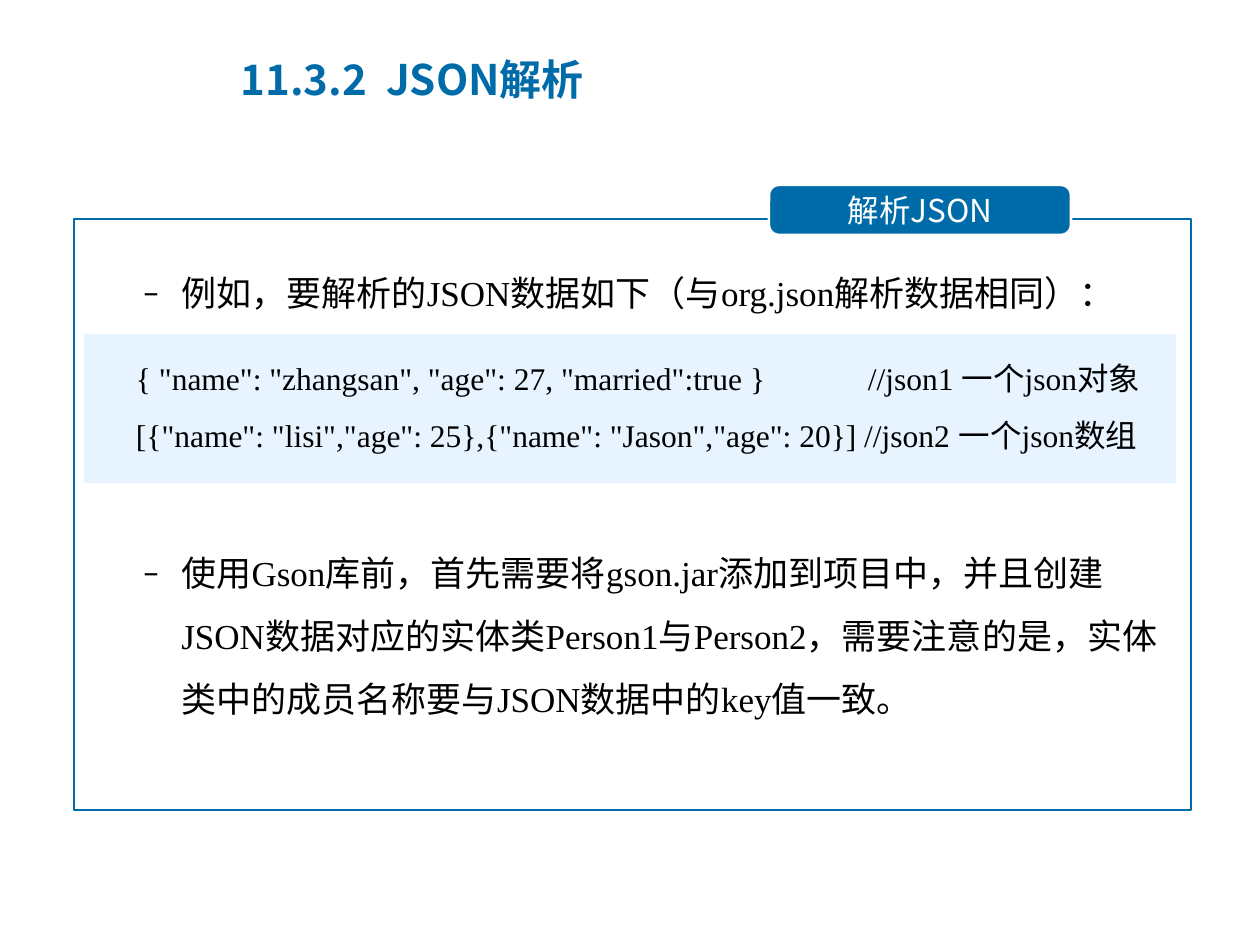
from lxml.etree import SubElement
from pptx import Presentation
from pptx.dml.color import RGBColor
from pptx.enum.shapes import MSO_SHAPE
from pptx.enum.text import MSO_ANCHOR, PP_ALIGN
from pptx.oxml.ns import qn
from pptx.util import Emu, Pt

BLUE, PALE, WHITE, BLACK = "006BA9", "E7F4FF", "FFFFFF", "000000"
CJK, LATIN, ROMAN = "Noto Sans CJK SC", "Calibri", "Times New Roman"


def px(*lengths):
    return [Emu(round(n * 914400 / 126)) for n in lengths]


def add_run(paragraph, text, font, size, color, bold=False):
    run = paragraph.add_run()
    run.text = text
    values = {"name": font, "size": Pt(size), "bold": bold}
    for key, value in values.items():
        setattr(run.font, key, value)
    run.font.color.rgb = RGBColor.from_string(color)
    SubElement(run.font._element, qn("a:ea"), typeface=CJK)


prs = Presentation()
prs.slide_width, prs.slide_height = px(1260, 945)
slide = prs.slides.add_slide(prs.slide_layouts[5])
shapes = slide.shapes

# Title
heading = shapes.title
heading.left, heading.top, heading.width, heading.height = px(228, 26, 709, 106)
heading.text_frame.vertical_anchor = MSO_ANCHOR.MIDDLE
heading.text_frame.paragraphs[0].alignment = PP_ALIGN.LEFT
add_run(heading.text_frame.paragraphs[0], "11.3.2  JSON解析", CJK, 24, BLUE, True)

# Frame, its label and the code panel: place, preset, fill, line
panels = []
for place, preset, fill, line in [
    ((74, 219, 1117, 591), MSO_SHAPE.RECTANGLE, None, BLUE),
    ((769, 185, 302, 50), MSO_SHAPE.ROUNDED_RECTANGLE, BLUE, WHITE),
    ((84, 334, 1092, 149), MSO_SHAPE.RECTANGLE, PALE, None),
]:
    panel = shapes.add_shape(preset, *px(*place))
    panel.shadow.inherit = False
    if fill:
        panel.fill.solid()
        panel.fill.fore_color.rgb = RGBColor.from_string(fill)
    else:
        panel.fill.background()
    if line:
        panel.line.color.rgb = RGBColor.from_string(line)
        panel.line.width = Pt(1.5)
    else:
        panel.line.fill.background()
    panels.append(panel)
frame, label, code = panels

label.adjustments[0] = 0.2
label.text_frame.vertical_anchor = MSO_ANCHOR.MIDDLE
label.text_frame.paragraphs[0].alignment = PP_ALIGN.CENTER
add_run(label.text_frame.paragraphs[0], "解析JSON", CJK, 18, WHITE)

# JSON samples, the first comment set off by a tab stop
samples = code.text_frame
samples.vertical_anchor = MSO_ANCHOR.TOP
samples.margin_left, samples.margin_right = px(52, 0)
for i, sample in enumerate([
    '{ "name": "zhangsan", "age": 27, "married":true }\t//json1 一个json对象',
    '[{"name": "lisi","age": 25},{"name": "Jason","age": 20}] //json2 一个json数组',
]):
    paragraph = samples.add_paragraph() if i else samples.paragraphs[0]
    paragraph.alignment = PP_ALIGN.LEFT
    paragraph.line_spacing = 1.5
    add_run(paragraph, sample, ROMAN, 18, BLACK)
    stops = SubElement(paragraph._p.get_or_add_pPr(), qn("a:tabLst"))
    SubElement(stops, qn("a:tab"), pos=str(px(732)[0]), algn="l")

# Dashed notes above and below the code panel
notes = shapes.add_textbox(*px(67, 244, 1110, 546)).text_frame
notes.word_wrap = True
for i, (space, parts) in enumerate([
    (4, [("例如，要", LATIN),
         ("解析的JSON数据如下（与org.json解析数据相同", ROMAN),
         ("）：", LATIN)]),
    (124, [("使用", LATIN),
           ("Gson库前，首先需要将gson.jar添加到项目中，并且创建"
            "JSON数据对应的实体类Person1与Person2，需要注意的是，"
            "实体类中的成员名称要与JSON数据中的key值", ROMAN),
           ("一致。", LATIN)]),
]):
    paragraph = notes.add_paragraph() if i else notes.paragraphs[0]
    paragraph.line_spacing = 1.5
    paragraph.space_before = Pt(space)
    for text, font in parts:
        add_run(paragraph, text, font, 20, BLACK)
    margin, hang = px(102, -39)
    properties = paragraph._p.get_or_add_pPr()
    properties.set("marL", str(margin))
    properties.set("indent", str(hang))
    SubElement(properties, qn("a:buFont"), typeface=LATIN)
    SubElement(properties, qn("a:buChar"), char="–")

prs.save("out.pptx")
